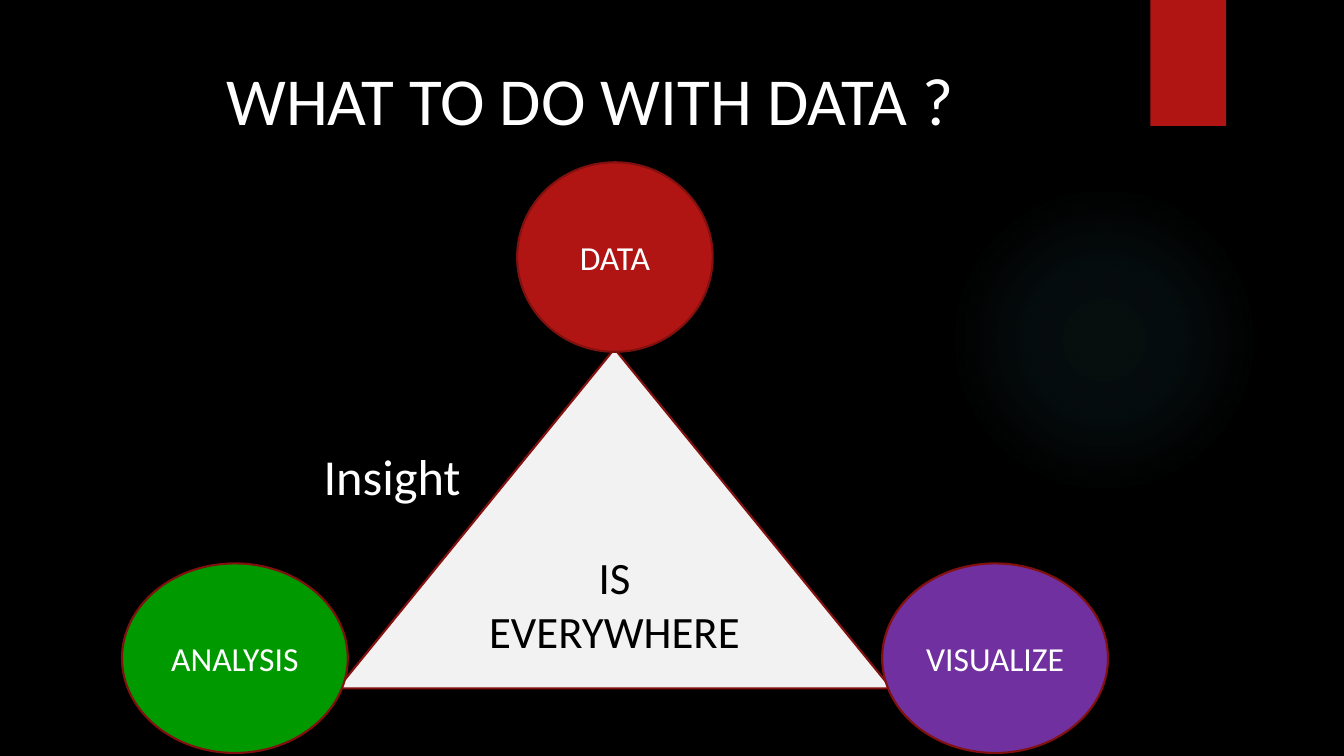
import pptx
import pptx.util
import pptx.dml.color
import pptx.enum.shapes
import pptx.enum.text
import pptx.oxml
import pptx.oxml.ns

RGBColor = pptx.dml.color.RGBColor
MSO_SHAPE = pptx.enum.shapes.MSO_SHAPE
PP_ALIGN = pptx.enum.text.PP_ALIGN
MSO_ANCHOR = pptx.enum.text.MSO_ANCHOR

BLACK = RGBColor(0x00, 0x00, 0x00)
WHITE = RGBColor(0xFF, 0xFF, 0xFF)
RED = RGBColor(0xB0, 0x15, 0x13)
DARK_RED = RGBColor(0x82, 0x10, 0x0E)
GREEN = RGBColor(0x00, 0x99, 0x00)
PURPLE = RGBColor(0x70, 0x30, 0xA0)
LIGHT_GRAY = RGBColor(0xF2, 0xF2, 0xF2)
GLOW = RGBColor(0x50, 0xB9, 0xC1)

prs = pptx.Presentation()
prs.slide_width = pptx.util.Inches(13.33)
prs.slide_height = pptx.util.Inches(7.5)
COL = prs.slide_width / 100
ROW = prs.slide_height / 100

s = prs.slides.add_slide(prs.slide_layouts[5])
s.background.fill.solid()
s.background.fill.fore_color.rgb = BLACK


def add_shape(kind, left, top, width, height, fill, line=None):
    sp = s.shapes.add_shape(kind, int(left * COL), int(top * ROW),
                            int(width * COL), int(height * ROW))
    sp.shadow.inherit = False
    sp.fill.solid()
    sp.fill.fore_color.rgb = fill
    if line is None:
        sp.line.fill.background()
    else:
        sp.line.color.rgb = line
        sp.line.width = pptx.util.Pt(1.5)
    return sp


def set_text(sp, text, size, color, align, anchor):
    tf = sp.text_frame
    tf.text = text
    tf.word_wrap = True
    tf.auto_size = pptx.enum.text.MSO_AUTO_SIZE.NONE
    tf.vertical_anchor = anchor
    p = tf.paragraphs[0]
    p.alignment = align
    r = p.runs[0]
    r.font.name = "Calibri"
    r.font.size = pptx.util.Pt(size)
    r.font.color.rgb = color


glow = add_shape(MSO_SHAPE.OVAL, 70.59, 24.4, 23.11, 41.07, GLOW)
stops = "".join(
    f'<a:gs pos="{pos * 1000}"><a:srgbClr val="{GLOW}">'
    f'<a:alpha val="{alpha * 1000}"/></a:srgbClr></a:gs>'
    for pos, alpha in [(0, 7), (36, 6), (69, 0)])
grad = pptx.oxml.parse_xml(
    f'<a:gradFill {pptx.oxml.ns.nsdecls("a")} rotWithShape="1"><a:gsLst>{stops}</a:gsLst>'
    '<a:path path="circle"><a:fillToRect l="50000" t="50000" r="50000" b="50000"/>'
    '</a:path></a:gradFill>')
solid = glow._element.spPr.find(pptx.oxml.ns.qn("a:solidFill"))
solid.getparent().replace(solid, grad)

add_shape(MSO_SHAPE.RECTANGLE, 85.6, 0, 5.63, 16.67, RED)

title = s.shapes.title
title.left, title.top = int(5.33 * COL), int(6.67 * ROW)
title.width, title.height = int(77.19 * COL), int(20.4 * ROW)
set_text(title, "WHAT TO DO WITH DATA ?", 48, WHITE, PP_ALIGN.CENTER, MSO_ANCHOR.TOP)
title.text_frame.margin_top = int(ROW)

insight = s.shapes.add_textbox(int(9.08 * COL), int(30 * ROW),
                               int(73.37 * COL), int(61.2 * ROW))
set_text(insight, "Insight", 36, WHITE, PP_ALIGN.LEFT, MSO_ANCHOR.MIDDLE)
insight.text_frame.margin_left = int(15 * COL)
insight.text_frame.margin_top = int(5.33 * ROW)

triangle = add_shape(MSO_SHAPE.ISOSCELES_TRIANGLE, 25.13, 46.13, 41.19, 44.93,
                     LIGHT_GRAY, DARK_RED)
set_text(triangle, "IS EVERYWHERE", 32, BLACK, PP_ALIGN.CENTER, MSO_ANCHOR.MIDDLE)

for label, left, top, width, color in [
    ("ANALYSIS", 9.08, 74.53, 16.8, GREEN),
    ("DATA", 38.48, 21.47, 14.55, RED),
    ("VISUALIZE", 65.64, 74.53, 16.8, PURPLE),
]:
    circle = add_shape(MSO_SHAPE.OVAL, left, top, width, 25.07, color, DARK_RED)
    set_text(circle, label, 24, WHITE, PP_ALIGN.CENTER, MSO_ANCHOR.MIDDLE)

prs.save("out.pptx")
